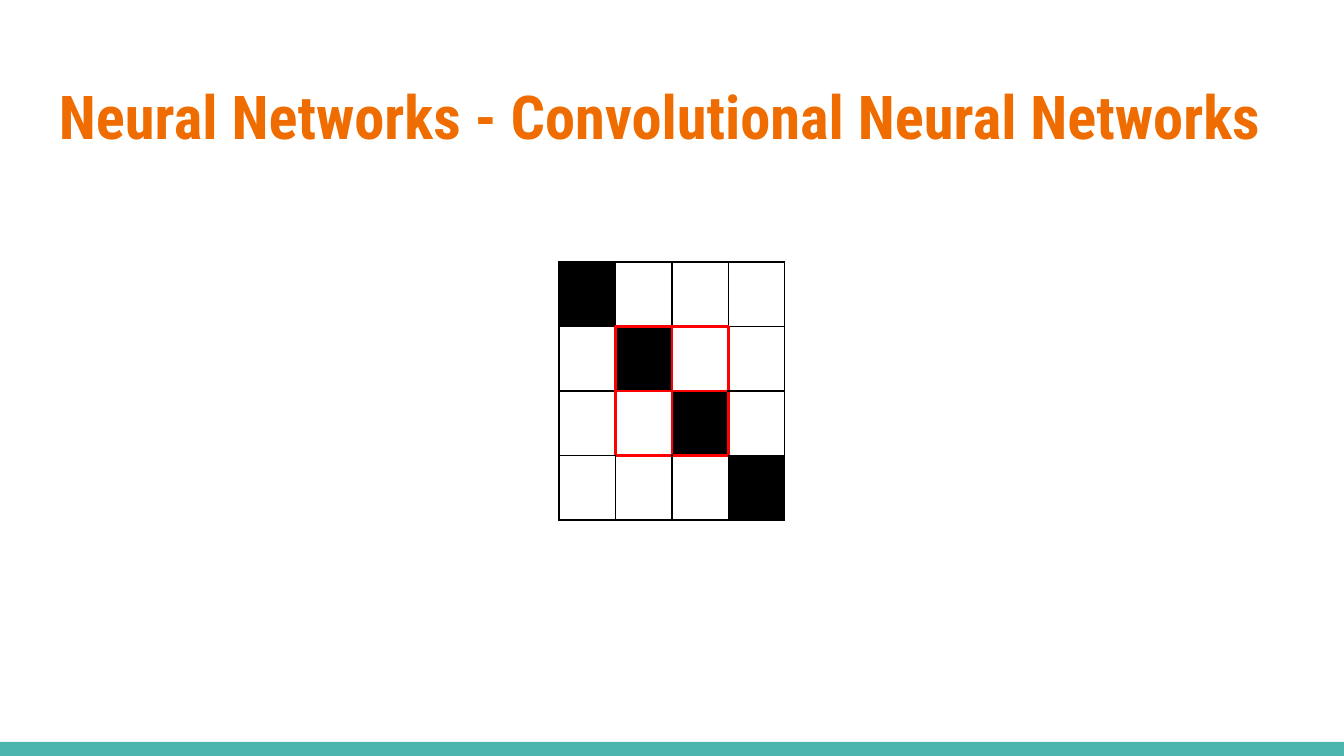
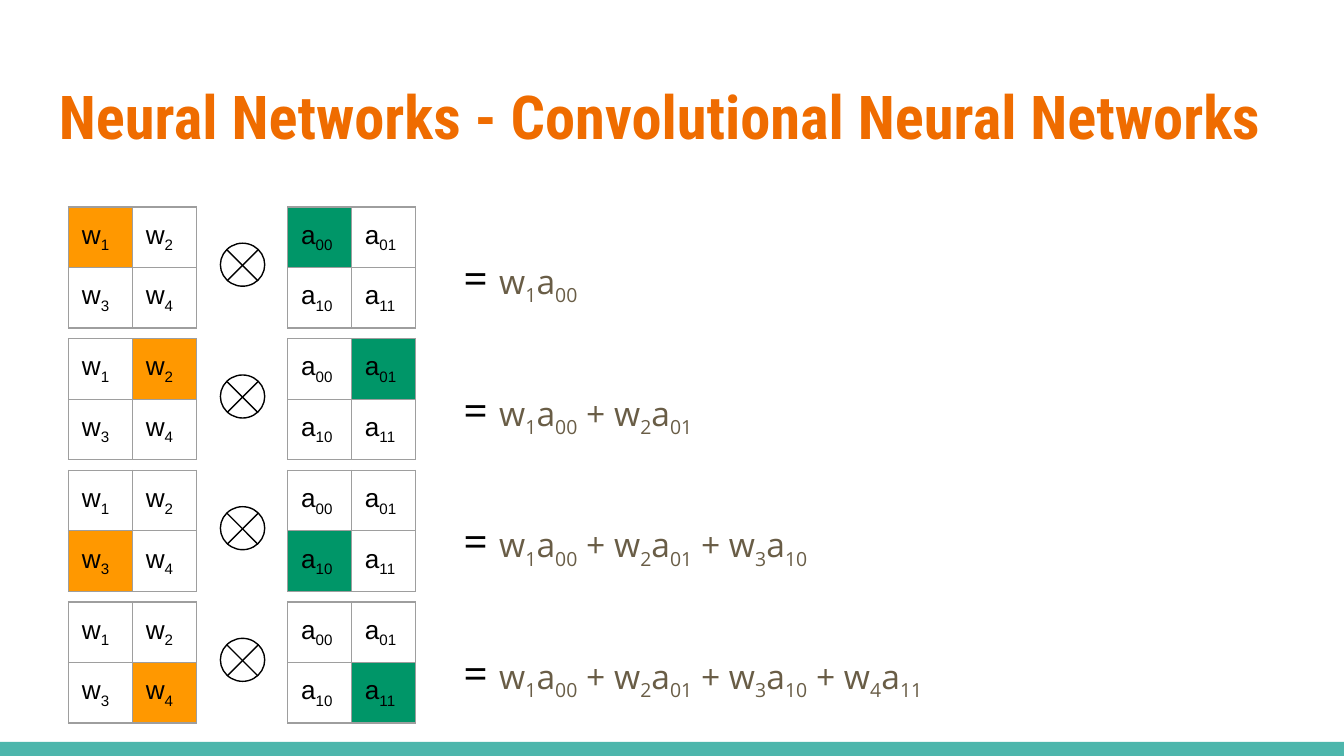
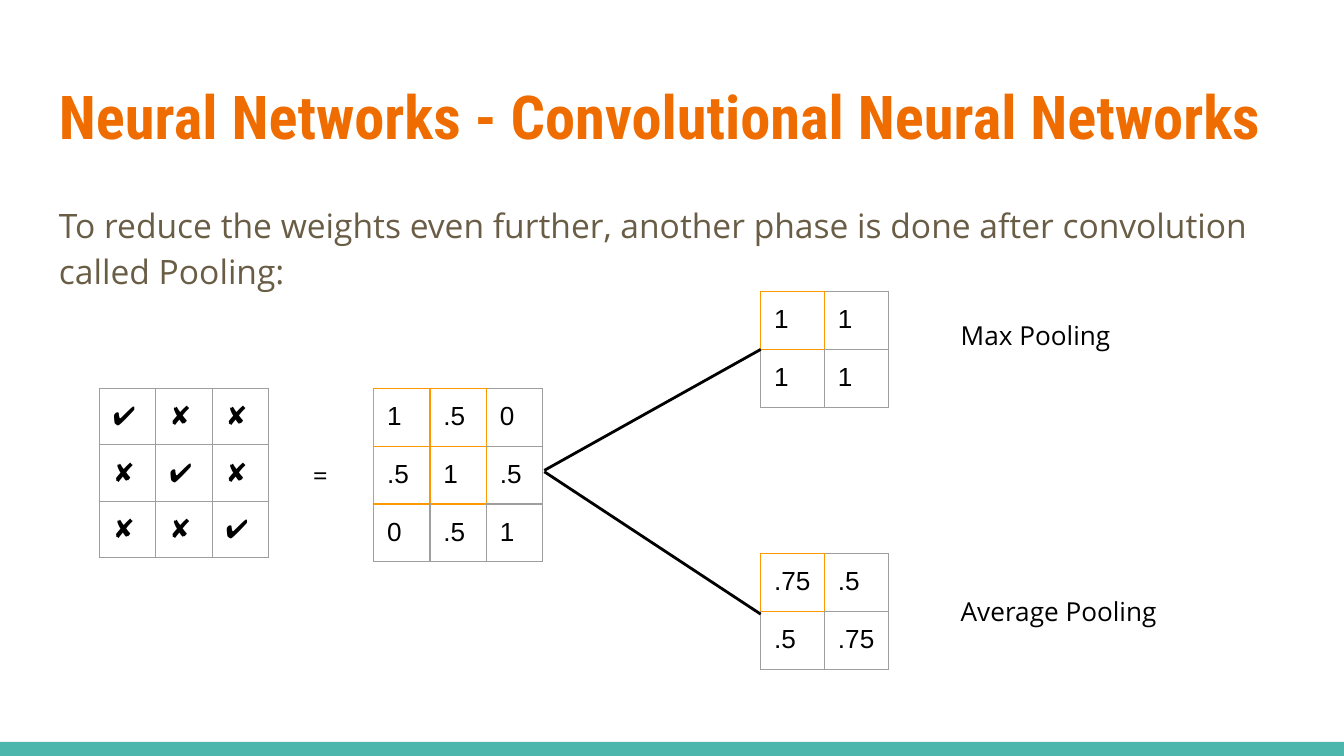
"""Builds three slides on convolution and pooling, laid out on a ten-column grid of one-inch units."""
from dataclasses import dataclass
from itertools import product

from lxml import etree
from pptx import Presentation
from pptx import util as u
from pptx.dml.color import RGBColor
from pptx.enum import shapes, text
from pptx.oxml.ns import qn


@dataclass(frozen=True)
class Theme:
    title: str = "EF6C00"
    band: str = "4DB6AC"
    body: str = "695D46"
    black: str = "000000"
    white: str = "FFFFFF"
    rule: str = "9E9E9E"
    red: str = "FF0000"
    orange: str = "FF9800"
    green: str = "009668"
    title_font: str = "Roboto Condensed"
    body_font: str = "Open Sans"
    cell_font: str = "Arial"
    title_size: float = 32.4
    equals_size: float = 23
    body_size: float = 18
    small_size: float = 14
    thin: float = 0.75
    thick: float = 1.5
    pad: float = 0.1
    cell_foot: float = 0.08


theme = Theme()
WIDTH, HEIGHT = 10, 5.625
BAND_TOP = 5.52
MARGIN, CONTENT = 0.34, 9.32
TABLE_FRAME = 3.28
NARROW, WIDE = 0.42, 0.95 / 2


def write(frame, words, font, size, color, lead=""):
    """Fill a text frame; every second part between bars is a subscript."""
    frame.word_wrap = True
    frame.margin_left = frame.margin_right = u.Inches(theme.pad)
    frame.margin_top = frame.margin_bottom = u.Inches(theme.pad)
    frame.vertical_anchor = text.MSO_ANCHOR.TOP
    para = frame.paragraphs[0]
    para.font.name = font
    para.font.size = u.Pt(size)
    para.font.color.rgb = RGBColor.from_string(color)
    if lead:
        span = para.add_run()
        span.text = lead
        span.font.size = u.Pt(theme.equals_size)
        span.font.color.rgb = RGBColor.from_string(theme.black)
    for index, part in enumerate(words.split("|") if words else []):
        if part:
            span = para.add_run()
            span.text = part
            if index % 2:
                span._r.get_or_add_rPr().set("baseline", "-25000")
    return para


def draw_grid(page, left, top, column, row, values, fills, rule, accent=None, marked=(), accent_width=theme.thin):
    """Draw a table whose marked cells, and the sides they share, have accent borders."""
    rows, columns = len(values), len(values[0])
    holder = page.shapes.add_table(
        rows, columns, *map(u.Inches, (left, top, column * columns, row * rows)))
    holder.width = holder.height = u.Inches(TABLE_FRAME)
    table = holder.table
    table.first_row = table.horz_banding = False
    for r, c in product(range(rows), range(columns)):
        cell = table.cell(r, c)
        write(cell.text_frame, values[r][c], theme.cell_font, theme.small_size, theme.black)
        cell.margin_left = cell.margin_right = cell.margin_top = u.Inches(theme.pad)
        cell.margin_bottom = u.Inches(theme.cell_foot)
        props = cell._tc.get_or_add_tcPr()
        for side, neighbour in (("L", (r, c - 1)), ("R", (r, c + 1)), ("T", (r - 1, c)), ("B", (r + 1, c))):
            lit = (r, c) in marked or neighbour in marked
            width = accent_width if lit else theme.thin
            line = etree.SubElement(props, qn(f"a:ln{side}"), w=str(u.Pt(width)))
            fill = etree.SubElement(line, qn("a:solidFill"))
            etree.SubElement(fill, qn("a:srgbClr"), val=accent if lit else rule)
        if (r, c) in fills:
            cell.fill.solid()
            cell.fill.fore_color.rgb = RGBColor.from_string(fills[r, c])
        else:
            cell.fill.background()


deck = Presentation()
deck.slide_width, deck.slide_height = u.Inches(WIDTH), u.Inches(HEIGHT)
pages = [deck.slides.add_slide(deck.slide_layouts[6]) for _ in range(3)]
for page in pages:
    band = page.shapes.add_shape(
        shapes.MSO_SHAPE.RECTANGLE, *map(u.Inches, (0, BAND_TOP, WIDTH, HEIGHT - BAND_TOP)))
    band.shadow.inherit = False
    band.fill.solid()
    band.fill.fore_color.rgb = RGBColor.from_string(theme.band)
    band.line.fill.background()
    box = page.shapes.add_textbox(*map(u.Inches, (MARGIN, 0.49, CONTENT, 0.77)))
    para = write(box.text_frame, "Neural Networks - Convolutional Neural Networks",
                 theme.title_font, theme.title_size, theme.title)
    para.font.bold = True

image_page, product_page, pooling_page = pages
strokes = []

draw_grid(image_page, 4.16, 1.95, NARROW, 0.48, [[""] * 4] * 4,
          {(i, i): theme.black for i in range(4)}, theme.black,
          theme.red, set(product((1, 2), repeat=2)), theme.thick)

weights = [["w|1", "w|2"], ["w|3", "w|4"]]
inputs = [["a|00", "a|01"], ["a|10", "a|11"]]
terms = []
for step, (r, c) in enumerate(product(range(2), repeat=2)):
    top = 1.54 + 0.98 * step
    draw_grid(product_page, 2.14, top, WIDE, 0.45, inputs, {(r, c): theme.green}, theme.rule)
    draw_grid(product_page, 0.51, top, WIDE, 0.45, weights, {(r, c): theme.orange}, theme.rule)
    circle = product_page.shapes.add_shape(
        shapes.MSO_SHAPE.OVAL, *map(u.Inches, (1.64, top + 0.27, 0.33, 0.32)))
    circle.shadow.inherit = False
    circle.fill.background()
    circle.line.color.rgb = RGBColor.from_string(theme.black)
    circle.line.width = u.Pt(theme.thin)
    high, low = top + 0.32, top + 0.55
    strokes += [(product_page, (1.69, low, 1.92, high), theme.thin),
                (product_page, (1.69, high, 1.92, low), theme.thin)]
    terms.append(f"{weights[r][c]}|{inputs[r][c]}|")
    box = product_page.shapes.add_textbox(*map(u.Inches, (3.35, top + 0.17, 4.81, 0.47)))
    para = write(box.text_frame, " + ".join(terms), theme.body_font, theme.body_size, theme.body, "= ")
    para.line_spacing = 1.15

box = pooling_page.shapes.add_textbox(*map(u.Inches, (MARGIN, 1.38, CONTENT, 0.96)))
para = write(box.text_frame,
             "To reduce the weights even further, another phase is done after convolution called Pooling:",
             theme.body_font, theme.body_size, theme.body)
para.line_spacing = 1.15
para.space_after = u.Pt(12)

matches = [["✔" if r == c else "✘" for c in range(3)] for r in range(3)]
scores = [["1", ".5", "0"], [".5", "1", ".5"], ["0", ".5", "1"]]
draw_grid(pooling_page, 0.74, 2.89, NARROW, 0.42, matches, {}, theme.rule)
draw_grid(pooling_page, 2.78, 2.89, NARROW, 0.43, scores, {}, theme.rule,
          theme.orange, set(product(range(2), repeat=2)))
for top, pooled, start, end in ((2.17, [["1", "1"], ["1", "1"]], 3.5, 2.6),
                                (4.12, [[".75", ".5"], [".5", ".75"]], 3.51, 4.57)):
    draw_grid(pooling_page, 5.66, top, WIDE, 0.43, pooled, {(0, 0): theme.white}, theme.rule,
              theme.orange, {(0, 0)})
    strokes.append((pooling_page, (4.05, start, 5.66, end), theme.thick))

for label, left, top, width in (("=", 2.23, 3.32, 0.31),
                                ("Max Pooling", 7.05, 2.28, 1.96),
                                ("Average Pooling", 7.05, 4.33, 1.96)):
    box = pooling_page.shapes.add_textbox(*map(u.Inches, (left, top, width, 0.44)))
    write(box.text_frame, label, theme.body_font, theme.small_size, theme.black)

for page, ends, width in strokes:
    stroke = page.shapes.add_connector(shapes.MSO_CONNECTOR.STRAIGHT, *map(u.Inches, ends))
    stroke.line.color.rgb = RGBColor.from_string(theme.black)
    stroke.line.width = u.Pt(width)
    etree.SubElement(stroke._element.spPr, qn("a:effectLst"))

deck.save("out.pptx")
